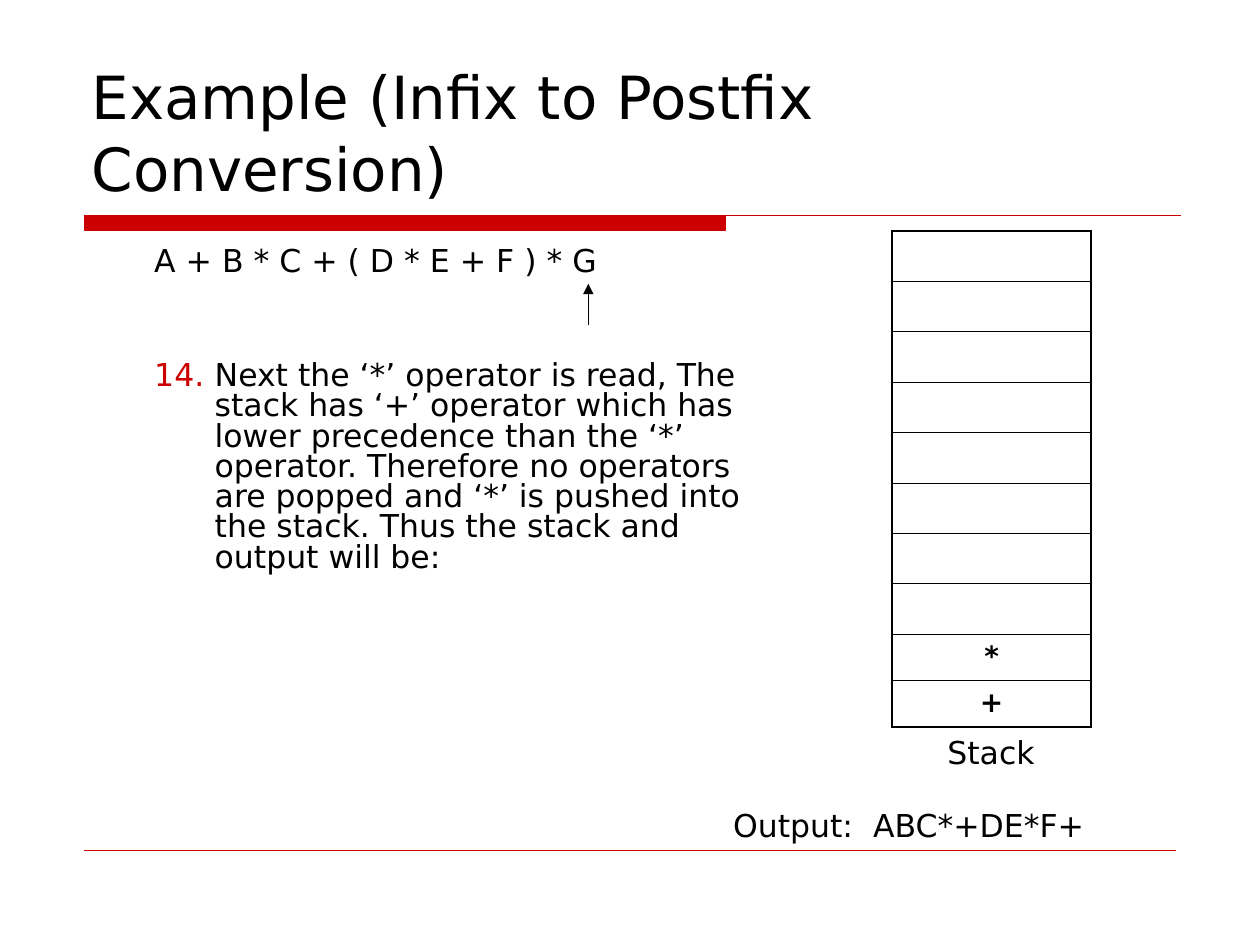
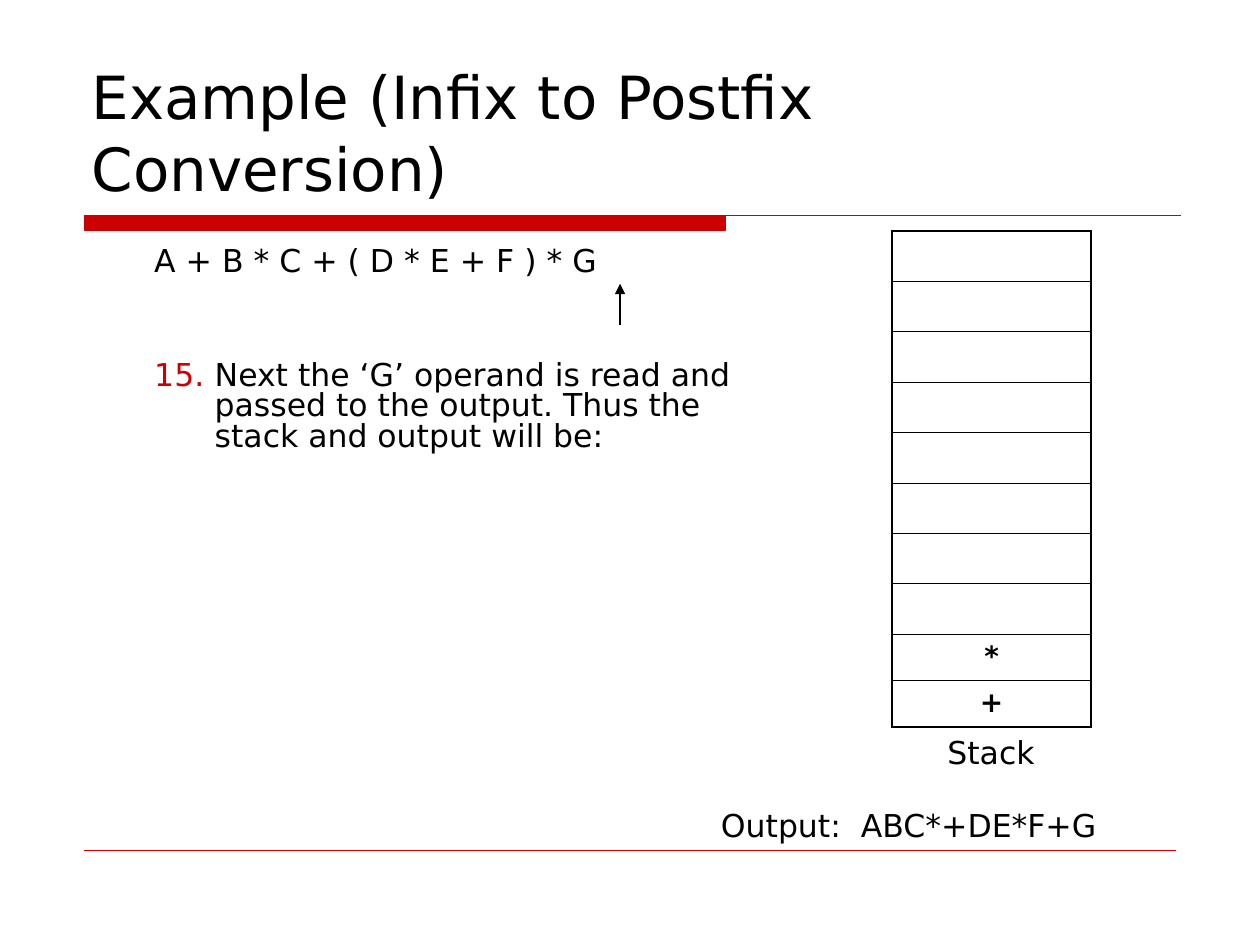
from dataclasses import dataclass

from lxml import etree
from pptx import Presentation
from pptx import util as u
from pptx.dml.color import RGBColor
from pptx.enum import shapes, text
from pptx.oxml import ns


@dataclass(frozen=True)
class Theme:
    font: str = "DejaVu Sans"
    ink: str = "000000"
    accent: str = "CC0000"
    title_size: float = 34
    body_size: float = 18
    cell_size: float = 16
    rule_width: float = 0.75
    footer_width: float = 0.25
    outer_border: float = 1.08
    inner_border: float = 0.45


@dataclass(frozen=True)
class Box:
    """A region of the slide, in centimetres."""
    left: float
    top: float
    width: float
    height: float

    def inner(self, dx, dy, width, height):
        return Box(self.left + dx, self.top + dy, width, height)

    def lengths(self):
        return [u.Cm(v) for v in (self.left, self.top, self.width, self.height)]


@dataclass(frozen=True)
class Step:
    number: int
    explanation: str
    pointer_x: float
    stack: tuple
    output: str


THEME = Theme()
PAGE = Box(0, 0, 25.4, 19.05)
TITLE = Box(1.6, 0.84, 22.22, 3.38)
RULE = Box(1.7, 4.34, 22.1, 0.3)
RULE_BAR_WIDTH = 12.93
FOOTER = Box(1.7, 17.15, 22, 0)
EXPLANATION = Box(1.57, 4.88, 13.87, 9.96)
STACK = Box(17.98, 4.65, 4.02, 9.3)
STACK_SLOTS = 10
OUTPUT = Box(12.07, 16.13, 12.5, 1.02)

HEADING = "Example (Infix to Postfix Conversion)"
EXPRESSION = "A + B * C + ( D * E + F ) * G"
STEPS = [
    Step(14, "Next the ‘*’ operator is read, The stack has ‘+’ operator which has "
             "lower precedence than the ‘*’ operator. Therefore no operators are popped "
             "and ‘*’ is pushed into the stack. Thus the stack and output will be:",
         10.29, ("*", "+"), "ABC*+DE*F+"),
    Step(15, "Next the ‘G’ operand is read and passed to the output. "
             "Thus the stack and output will be:",
         10.93, ("*", "+"), "ABC*+DE*F+G"),
]


def add_xml(parent, tag, **attributes):
    return etree.SubElement(parent, ns.qn(tag), attributes)


def style(paragraph, size, bold=False):
    font = paragraph.font
    font.name, font.size, font.bold = THEME.font, u.Pt(size), bold
    font.color.rgb = RGBColor.from_string(THEME.ink)


def add_text(slide, box, content, size, align=text.PP_ALIGN.LEFT,
             anchor=text.MSO_ANCHOR.TOP):
    frame = slide.shapes.add_textbox(*box.lengths()).text_frame
    frame.word_wrap = True
    frame.vertical_anchor = anchor
    paragraph = frame.paragraphs[0]
    paragraph.text = content
    paragraph.alignment = align
    style(paragraph, size)
    return frame


def add_line(slide, start, end, color, width):
    line = slide.shapes.add_connector(
        shapes.MSO_CONNECTOR.STRAIGHT, *(u.Cm(v) for v in (*start, *end)))
    line.line.color.rgb = RGBColor.from_string(color)
    line.line.width = u.Pt(width)
    add_xml(line._element.spPr, "a:effectLst")
    return line


def draw_title_rule(slide, box):
    """Thick bar on the left that runs on as a thin line to the right edge."""
    bar_right = box.left + RULE_BAR_WIDTH
    bottom = box.top + box.height
    outline = slide.shapes.build_freeform(u.Cm(box.left), u.Cm(box.top))
    corners = [(bar_right, box.top), (bar_right, bottom), (box.left, bottom)]
    outline.add_line_segments([(u.Cm(x), u.Cm(y)) for x, y in corners], close=True)
    outline.move_to(u.Cm(box.left), u.Cm(box.top))
    outline.add_line_segments(
        [(u.Cm(box.left + box.width), u.Cm(box.top))], close=False)
    rule = outline.convert_to_shape()
    rule.shadow.inherit = False
    rule.fill.solid()
    rule.fill.fore_color.rgb = RGBColor.from_string(THEME.accent)
    rule.line.color.rgb = RGBColor.from_string(THEME.accent)
    rule.line.width = u.Pt(THEME.rule_width)


def draw_frame(slide):
    """Title, title rule and footer line."""
    draw_title_rule(slide, RULE)
    add_line(slide, (FOOTER.left, FOOTER.top),
             (FOOTER.left + FOOTER.width, FOOTER.top),
             THEME.accent, THEME.footer_width)
    add_text(slide, TITLE, HEADING, THEME.title_size, anchor=text.MSO_ANCHOR.BOTTOM)


def set_hanging_indent(paragraph):
    properties = paragraph._p.get_or_add_pPr()
    properties.set("marL", str(u.Cm(2.51)))
    properties.set("indent", str(u.Cm(-1.22)))
    return properties


def draw_explanation(slide, box, step):
    """Expression, pointer under the token being read, and the numbered step."""
    frame = add_text(slide, box, EXPRESSION, THEME.body_size)
    expression = frame.paragraphs[0]
    set_hanging_indent(expression)
    expression.line_spacing = 0.8

    explanation = frame.add_paragraph()
    explanation.text = step.explanation
    explanation.line_spacing = 0.8
    explanation.space_before = u.Pt(48)
    properties = set_hanging_indent(explanation)
    add_xml(add_xml(properties, "a:buClr"), "a:srgbClr", val=THEME.accent)
    add_xml(properties, "a:buFont", typeface=THEME.font)
    add_xml(properties, "a:buAutoNum", type="arabicPeriod", startAt=str(step.number))
    style(explanation, THEME.body_size)

    x = box.left + step.pointer_x
    pointer = add_line(slide, (x, box.top + 1.67), (x, box.top + 0.84),
                       THEME.ink, THEME.rule_width)
    add_xml(pointer.line._get_or_add_ln(), "a:tailEnd", type="triangle")


def set_borders(cell, top, bottom):
    widths = {"L": THEME.outer_border, "R": THEME.outer_border, "T": top, "B": bottom}
    properties = cell._tc.get_or_add_tcPr()
    for side, width in widths.items():
        border = add_xml(properties, f"a:ln{side}", w=str(u.Pt(width)))
        add_xml(add_xml(border, "a:solidFill"), "a:srgbClr", val=THEME.ink)


def draw_stack(slide, box, symbols):
    """Stack of slots, filled from the bottom, with its label below."""
    table = slide.shapes.add_table(STACK_SLOTS, 1, *box.lengths()).table
    table.first_row = table.horz_banding = False
    slots = [""] * (STACK_SLOTS - len(symbols)) + list(symbols)
    for row, symbol in enumerate(slots):
        cell = table.cell(row, 0)
        set_borders(
            cell,
            top=THEME.outer_border if row == 0 else THEME.inner_border,
            bottom=THEME.outer_border if row == STACK_SLOTS - 1 else THEME.inner_border)
        cell.fill.background()
        paragraph = cell.text_frame.paragraphs[0]
        paragraph.alignment = text.PP_ALIGN.CENTER
        if symbol:
            paragraph.text = symbol
        style(paragraph, THEME.cell_size if symbol else THEME.body_size, bool(symbol))
    add_text(slide, box.inner(0.87, 10.01, 2.34, 1.02), "Stack", THEME.body_size)


def build_step_slide(deck, step):
    slide = deck.slides.add_slide(deck.slide_layouts[6])
    draw_frame(slide)
    draw_explanation(slide, EXPLANATION, step)
    draw_stack(slide, STACK, step.stack)
    add_text(slide, OUTPUT, f"Output:  {step.output}", THEME.body_size,
             text.PP_ALIGN.CENTER)


def main():
    deck = Presentation()
    deck.slide_width, deck.slide_height = u.Cm(PAGE.width), u.Cm(PAGE.height)
    for step in STEPS:
        build_step_slide(deck, step)
    deck.save("out.pptx")


if __name__ == "__main__":
    main()
